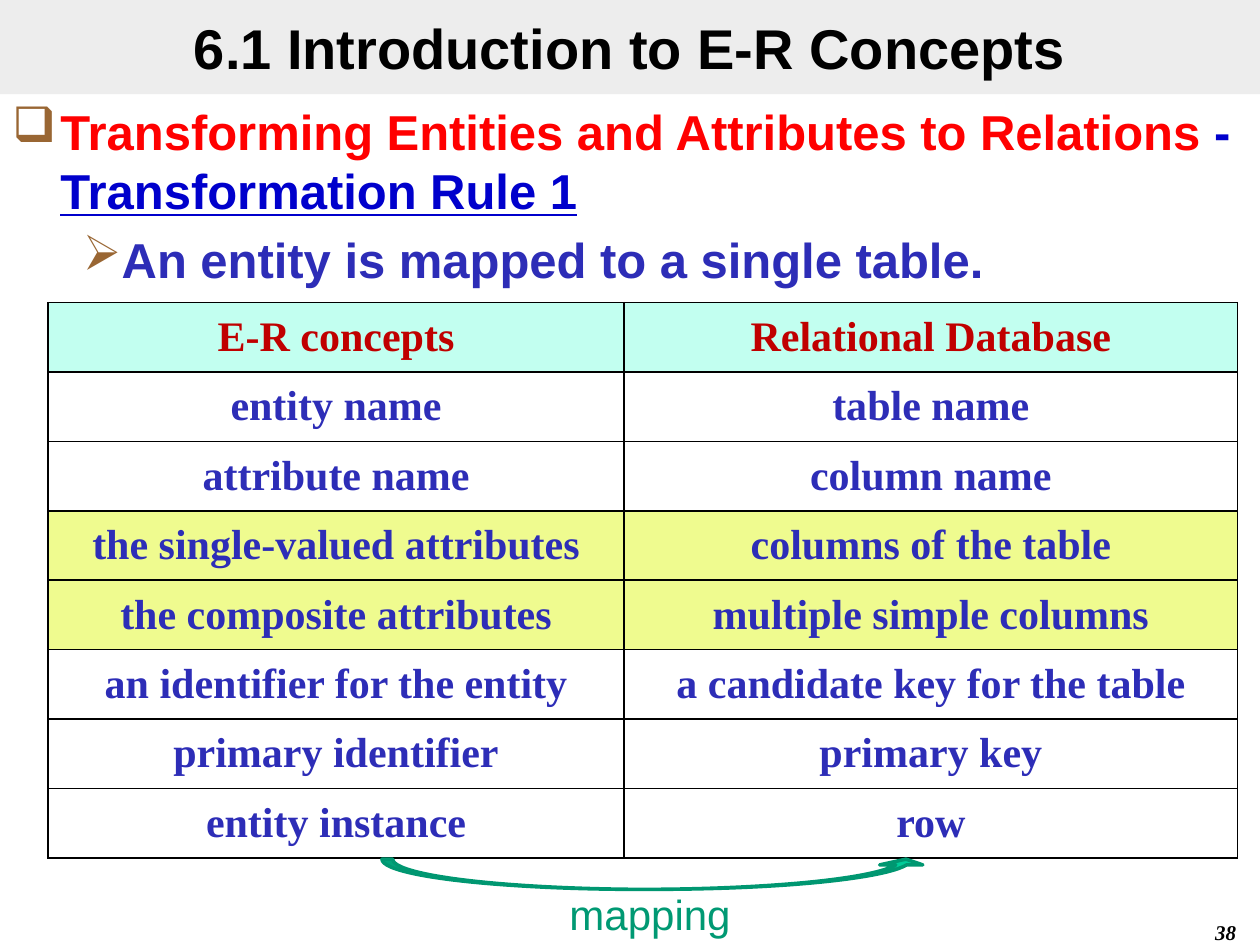
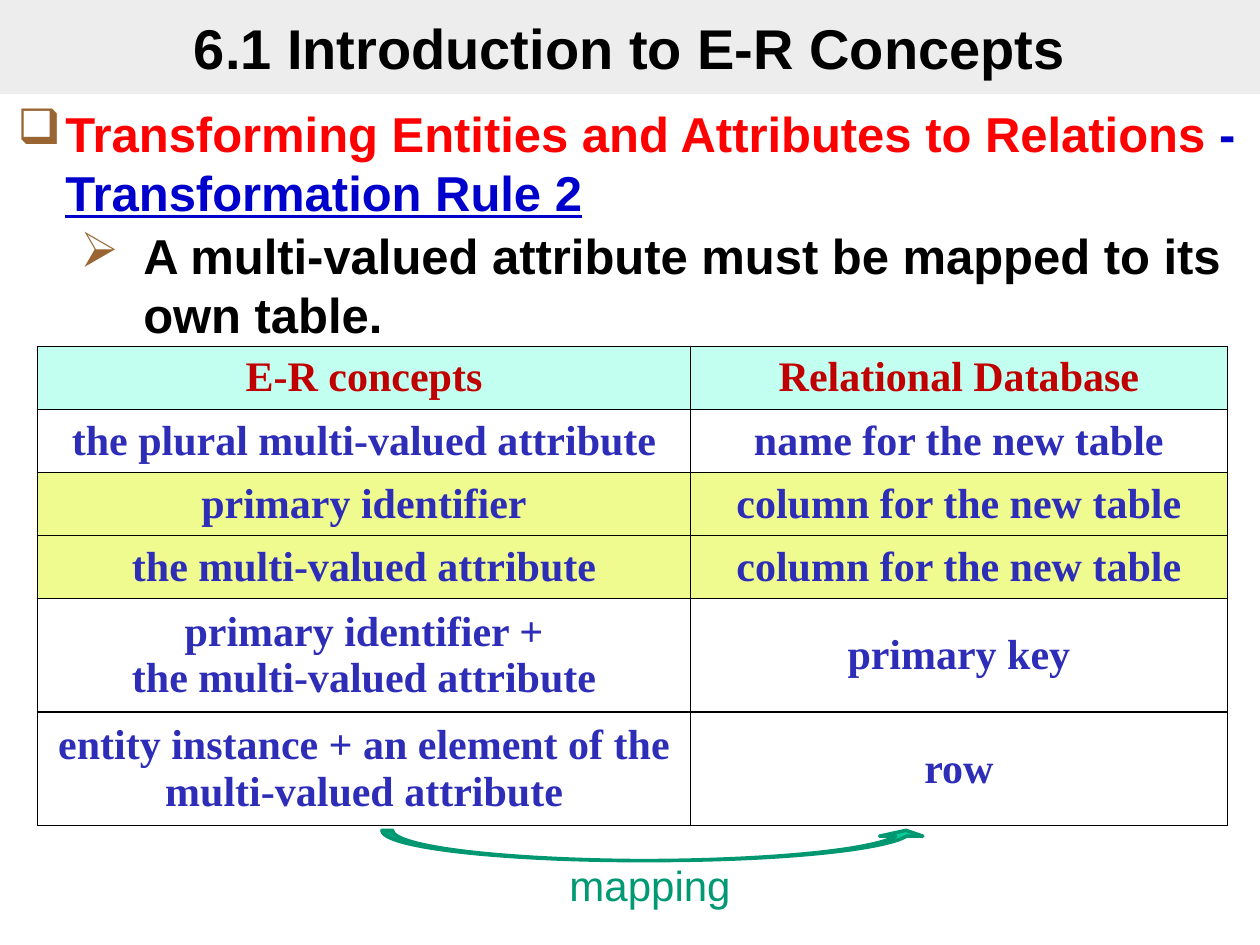
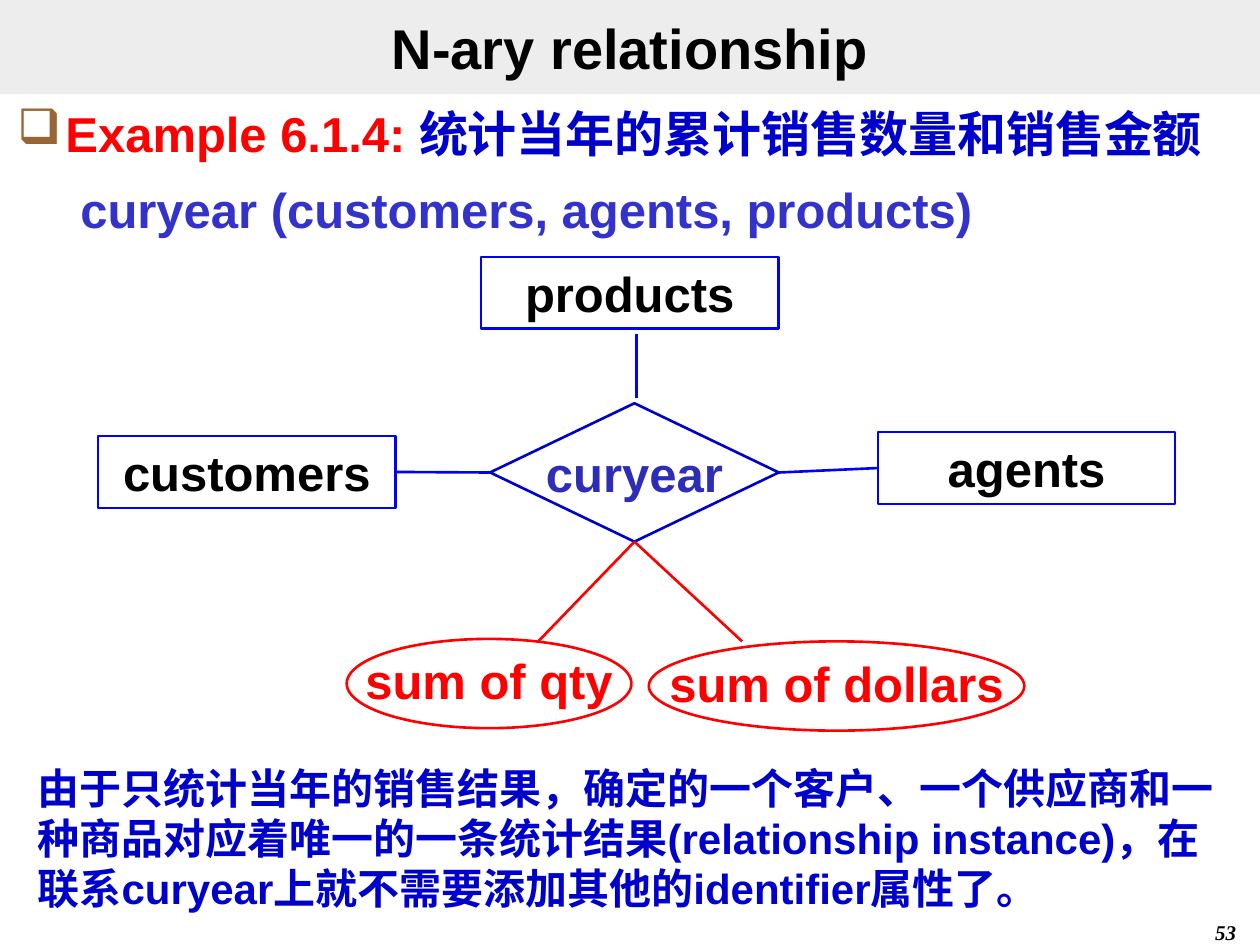
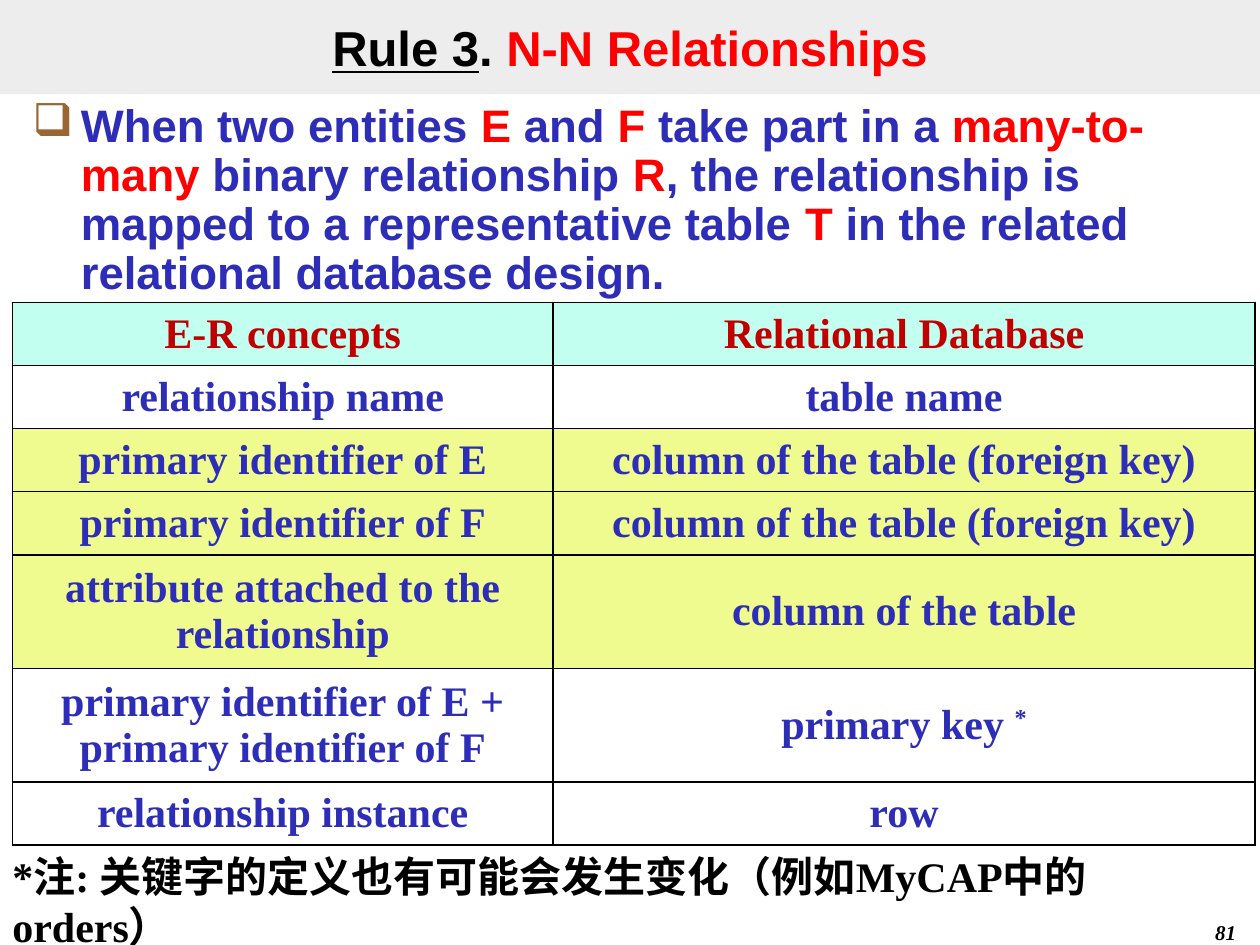
from lxml import etree
from pptx import Presentation
from pptx.dml.color import RGBColor
from pptx.enum.shapes import MSO_CONNECTOR, MSO_SHAPE
from pptx.enum.text import MSO_ANCHOR, PP_ALIGN
from pptx.oxml.ns import qn
from pptx.util import Cm, Pt

CENTER, RIGHT, LEFT = PP_ALIGN.CENTER, PP_ALIGN.RIGHT, PP_ALIGN.LEFT
TOP, MIDDLE = MSO_ANCHOR.TOP, MSO_ANCHOR.MIDDLE
RECTANGLE, DIAMOND, ELLIPSE = MSO_SHAPE.RECTANGLE, MSO_SHAPE.DIAMOND, MSO_SHAPE.OVAL
CURVED_ARROW = MSO_SHAPE.CURVED_UP_ARROW
STRAIGHT = MSO_CONNECTOR.STRAIGHT
SIDE_TOP, SIDE_LEFT, SIDE_BOTTOM, SIDE_RIGHT = range(4)
TITLE_ONLY = 5

COLOURS = {
    "black": "000000", "white": "FFFFFF", "band": "DDDDDD", "bullet": "996633",
    "red": "FF0000", "navy": "0000CC", "blue": "0000FF", "indigo": "2D2DB7",
    "violet": "3333CC", "head text": "C00000", "head fill": "C2FFF0",
    "highlight": "EFFB8F", "arrow fill": "00CC99", "arrow line": "009771",
    "mapping": "009973",
}

# Text formats
TITLE = {"name": "Arial", "size": Pt(32), "bold": True}
BODY = {"name": "Arial", "size": Pt(28), "bold": True}
RULE = {"name": "Arial", "size": Pt(26), "bold": True}
REMARK = {"name": "Arial", "size": Pt(24), "bold": True}
CELL = {"name": "Times New Roman", "size": Pt(24), "bold": True}
MAPPING = {"name": "Arial", "size": Pt(24), "bold": False}
NUMBER = {"name": "Times New Roman", "size": Pt(12), "bold": True, "italic": True}

# Bullets: character, left indent and first-line indent in cm
SQUARE = ("❑", 0.97, -0.97)
ARROW = ("➢", 2.06, -0.64)
WIDE_ARROW = ("➢", 2.54, -1.27)
INDENTED = (None, 1.27, 0)

# Content: a span is (text, colour[, underlined]); a paragraph is (spans, layout)
CONCEPTS = [("6.1 Introduction to E-R Concepts", "black")]
HEADER = ("E-R concepts", "Relational Database")


def rule_heading(number):
    return [("Transforming Entities and Attributes to Relations ", "red"),
            ("- ", "navy"), (f"Transformation Rule {number}", "navy", True)]


SLIDES = [
    {
        "title": CONCEPTS, "number": "38",
        "body": ((0, 1.93, 25.3, 4.09), BODY, [
            (rule_heading(1), {"bullet": SQUARE}),
            ([("An entity is mapped to a single table.", "indigo")],
             {"bullet": ARROW, "before": 5.6}),
        ]),
        "table": {
            "place": (0.97, 6.1), "columns": (11.61, 12.37),
            "heights": [1.4] * 8, "highlighted": (3, 4),
            "rows": [
                HEADER,
                ("entity name", "table name"),
                ("attribute name", "column name"),
                ("the single-valued attributes", "columns of the table"),
                ("the composite attributes", "multiple simple columns"),
                ("an identifier for the entity", "a candidate key for the table"),
                ("primary identifier", "primary key"),
                ("entity instance", "row"),
            ],
        },
        "mapping": 17.32,
    },
    {
        "title": CONCEPTS,
        "body": ((0.1, 1.96, 25.2, 5.16), BODY, [
            (rule_heading(2), {"bullet": SQUARE}),
            ([("A multi-valued attribute must be mapped to its own table.", "black")],
             {"bullet": WIDE_ARROW, "before": 2.8}),
        ]),
        "table": {
            "place": (0.76, 6.98), "columns": (13.16, 10.82),
            "heights": [1.27] * 4 + [2.29] * 2, "highlighted": (2, 3),
            "rows": [
                HEADER,
                ("the plural multi-valued attribute", "name for the new table"),
                ("primary identifier", "column for the new table"),
                ("the multi-valued attribute", "column for the new table"),
                ("primary identifier +\nthe multi-valued attribute", "primary key"),
                ("entity instance + an element of the multi-valued attribute", "row"),
            ],
        },
        "mapping": 16.74,
    },
    {
        "title": [("N-ary relationship", "black")], "number": "53",
        "body": ((0.1, 1.96, 25.2, 3), BODY, [
            ([("Example 6.1.4: ", "red"),
              ("统计当年的累计销售数量和销售金额", "navy")], {"bullet": SQUARE}),
            ([("curyear (customers, agents, products)", "violet")],
             {"bullet": INDENTED, "before": 10}),
        ]),
        "diagram": True,
        "note": ((0.51, 15.24, 24.43, 3.33), REMARK, [
            ([("由于只统计当年的销售结果，确定的一个客户、一个供应商和一种商品对应着"
               "唯一的一条统计结果(relationship instance)，在联系curyear上就不需要"
               "添加其他的identifier属性了。", "navy")], {}),
        ]),
    },
    {
        "title": [("Rule 3", "black", True), (". ", "black"),
                  ("N-N Relationships", "red")],
        "title size": Pt(28), "number": "81",
        "body": ((0.41, 1.96, 24.59, 4.24), RULE, [
            ([("When two entities ", "indigo"), ("E", "red"), (" and ", "indigo"),
              ("F", "red"), (" take part in a ", "indigo"), ("many-to-many", "red"),
              (" binary relationship ", "indigo"), ("R", "red"),
              (", the relationship is mapped to a representative table ", "indigo"),
              ("T", "red"), (" in the related relational database design.", "indigo")],
             {"bullet": SQUARE, "spacing": 0.9}),
        ]),
        "table": {
            "place": (0.25, 6.1), "columns": (10.9, 14.15),
            "heights": [1.27] * 4 + [2.29] * 2 + [1.27], "highlighted": (2, 3, 4),
            "rows": [
                HEADER,
                ("relationship name", "table name"),
                ("primary identifier of E", "column of the table (foreign key)"),
                ("primary identifier of F", "column of the table (foreign key)"),
                ("attribute attached to the relationship", "column of the table"),
                ("primary identifier of E +\nprimary identifier of F", "primary key *"),
                ("relationship instance", "row"),
            ],
        },
        "note": ((0, 17.02, 25.3, 1.27), CELL, [
            ([("*注: 关键字的定义也有可能会发生变化（例如MyCAP中的orders）", "black")], {}),
        ]),
    },
]

# Diagram parts: shape, place, line colour, text colour, filled
DIAGRAM = {
    "customers": (RECTANGLE, (1.98, 8.79, 5.99, 1.45), "blue", "black", False),
    "agents": (RECTANGLE, (17.7, 8.71, 5.99, 1.45), "blue", "black", False),
    "products": (RECTANGLE, (9.7, 5.18, 5.99, 1.45), "blue", "black", False),
    "curyear": (DIAMOND, (9.88, 8.13, 5.82, 2.79), "navy", "indigo", True),
    "sum of dollars": (ELLIPSE, (13.08, 12.93, 7.57, 1.8), "red", "red", True),
    "sum of qty": (ELLIPSE, (6.99, 12.88, 5.74, 1.8), "red", "red", True),
}
# Lines: from, to, colour; an end is a (part, side) or a point in cm
LINES = [
    (("customers", SIDE_RIGHT), ("curyear", SIDE_LEFT), "blue"),
    (("curyear", SIDE_RIGHT), ("agents", SIDE_LEFT), "blue"),
    ((12.83, 8.03), (12.83, 6.73), "blue"),
    ((14.96, 12.93), ("curyear", SIDE_BOTTOM), "red"),
    ((10.85, 12.93), ("curyear", SIDE_BOTTOM), "red"),
]


def colour(name):
    return RGBColor.from_string(COLOURS[name])


def lengths(place):
    return [Cm(value) for value in place]


def paint(shape, fill, line, width):
    shape.shadow.inherit = False
    if fill:
        shape.fill.solid()
        shape.fill.fore_color.rgb = colour(fill)
    else:
        shape.fill.background()
    shape.line.color.rgb = colour(line)
    shape.line.width = Pt(width)


def add_span(para, text, text_colour, style, underlined=False):
    span = para.add_run()
    span.text = text
    for key, value in style.items():
        setattr(span.font, key, value)
    span.font.color.rgb = colour(text_colour)
    if underlined:
        span.font.underline = True
    return span


def set_bullet(para, mark, left, first):
    properties = para._p.get_or_add_pPr()
    properties.set("marL", str(Cm(left)))
    properties.set("indent", str(Cm(first)))
    if mark:
        tint = etree.SubElement(properties, qn("a:buClr"))
        etree.SubElement(tint, qn("a:srgbClr"), val=COLOURS["bullet"])
        etree.SubElement(properties, qn("a:buChar"), char=mark)


def write(frame, paragraphs, style, align=LEFT):
    for index, (spans, layout) in enumerate(paragraphs):
        para = frame.add_paragraph() if index else frame.paragraphs[0]
        para.alignment = align
        if "bullet" in layout:
            set_bullet(para, *layout["bullet"])
        if "before" in layout:
            para.space_before = Pt(layout["before"])
        if "spacing" in layout:
            para.line_spacing = layout["spacing"]
        for text, text_colour, *underlined in spans:
            add_span(para, text, text_colour, style, *underlined)


def add_text(page, place, style, paragraphs, align=LEFT):
    frame = page.shapes.add_textbox(*lengths(place)).text_frame
    frame.word_wrap = True
    write(frame, paragraphs, style, align)


def add_title(page, spans, size):
    title = page.shapes.title
    title.left, title.top, title.width, title.height = lengths((0, 0, 25.4, 1.9))
    title.fill.solid()
    title.fill.fore_color.rgb = colour("band")
    tint = title._element.spPr.find(qn("a:solidFill"))[0]
    etree.SubElement(tint, qn("a:alpha"), val="50000")
    title.text_frame.vertical_anchor = MIDDLE
    write(title.text_frame, [(spans, {})], {**TITLE, "size": size}, CENTER)


def add_borders(cell):
    properties = cell._tc.get_or_add_tcPr()
    for side in ("lnL", "lnR", "lnT", "lnB"):
        border = etree.SubElement(properties, qn(f"a:{side}"), w=str(Pt(1)))
        fill = etree.SubElement(border, qn("a:solidFill"))
        etree.SubElement(fill, qn("a:srgbClr"), val=COLOURS["black"])


def fill_cell(cell, text, text_colour, fill):
    add_borders(cell)
    if fill:
        cell.fill.solid()
        cell.fill.fore_color.rgb = colour(fill)
    else:
        cell.fill.background()
    cell.vertical_anchor = MIDDLE
    for index, line in enumerate(text.split("\n")):
        para = cell.text_frame.add_paragraph() if index else cell.text_frame.paragraphs[0]
        para.alignment = CENTER
        words, star, _ = line.partition("*")
        add_span(para, words, text_colour, CELL)
        if star:
            mark = add_span(para, star, text_colour, CELL)
            mark._r.get_or_add_rPr().set("baseline", "30000")


def add_concept_table(page, spec_of_table):
    rows, heights = spec_of_table["rows"], spec_of_table["heights"]
    columns = spec_of_table["columns"]
    place = (*spec_of_table["place"], sum(columns), sum(heights))
    table = page.shapes.add_table(len(rows), len(columns), *lengths(place)).table
    table.first_row = table.horz_banding = False
    for column, width in zip(table.columns, columns):
        column.width = Cm(width)
    for index, (texts, height) in enumerate(zip(rows, heights)):
        table.rows[index].height = Cm(height)
        if index == 0:
            text_colour, fill = "head text", "head fill"
        else:
            text_colour = "indigo"
            fill = "highlight" if index in spec_of_table["highlighted"] else None
        for cell, text in zip(table.rows[index].cells, texts):
            fill_cell(cell, text, text_colour, fill)


def add_mapping(page, top):
    arrow = page.shapes.add_shape(CURVED_ARROW, *lengths((7.7, top, 11, 0.61)))
    for index, value in enumerate((0.356, 1.427, 0.191)):
        arrow.adjustments[index] = value
    paint(arrow, "arrow fill", "arrow line", 2)
    add_text(page, (10.49, top + 0.46, 5.23, 1.27), MAPPING,
             [([("mapping", "mapping")], {})], CENTER)


def add_part(page, label, kind, place, line, text_colour, filled):
    shape = page.shapes.add_shape(kind, *lengths(place))
    paint(shape, "white" if filled else None, line, 1.5)
    frame = shape.text_frame
    frame.word_wrap = kind == RECTANGLE
    frame.vertical_anchor = TOP if kind == RECTANGLE else MIDDLE
    if kind == ELLIPSE:
        frame.margin_top = 0
    write(frame, [([(label, text_colour)], {})], BODY, CENTER)
    return shape


def add_diagram(page):
    parts = {label: add_part(page, label, *look) for label, look in DIAGRAM.items()}
    for start, end, line_colour in LINES:
        points = [(0, 0) if point[0] in parts else point for point in (start, end)]
        line = page.shapes.add_connector(STRAIGHT, *lengths(points[0] + points[1]))
        for point, join in ((start, line.begin_connect), (end, line.end_connect)):
            if point[0] in parts:
                join(parts[point[0]], point[1])
        line.line.color.rgb = colour(line_colour)
        line.line.width = Pt(1.5)
        etree.SubElement(line._element.spPr, qn("a:effectLst"))


def main():
    deck = Presentation()
    deck.slide_width, deck.slide_height = Cm(25.4), Cm(19.05)
    for content in SLIDES:
        page = deck.slides.add_slide(deck.slide_layouts[TITLE_ONLY])
        add_title(page, content["title"], content.get("title size", TITLE["size"]))
        add_text(page, *content["body"])
        if "table" in content:
            add_concept_table(page, content["table"])
        if "mapping" in content:
            add_mapping(page, content["mapping"])
        if "diagram" in content:
            add_diagram(page)
        if "note" in content:
            add_text(page, *content["note"])
        if "number" in content:
            add_text(page, (19.89, 18.42, 5.28, 0.64), NUMBER,
                     [([(content["number"], "black")], {})], RIGHT)
    deck.save("out.pptx")


if __name__ == "__main__":
    main()
